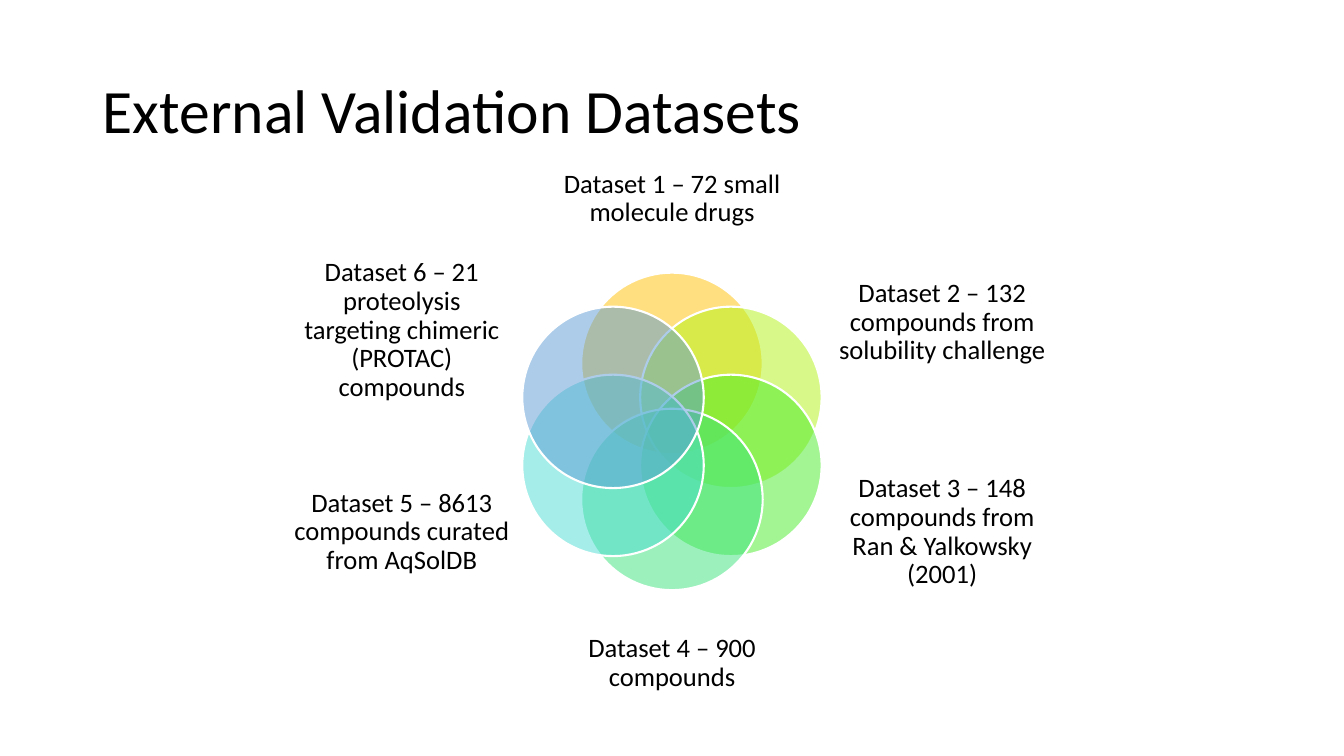
from math import cos, radians, sin

from lxml import etree
from pptx import Presentation
from pptx.dml.color import RGBColor
from pptx.enum import shapes, text
from pptx.oxml.ns import qn
from pptx.util import Inches, Pt

FONT = "Calibri"
PETAL_SIZE = 1.8
PETAL_ORBIT = 0.675

# label, petal colour, label box (left, top, width, height) within the diagram
DATASETS = [
    ("Dataset 1 – 72 small molecule drugs", "FFC000", (2.62, 0, 2.25, 1.23)),
    ("Dataset 2 – 132 compounds from solubility challenge", "B2F514", (5.36, 1.17, 2.13, 1.34)),
    ("Dataset 3 – 148 compounds from Ran & Yalkowsky (2001)", "46EC27", (5.36, 3.17, 2.13, 1.5)),
    ("Dataset 4 – 900 compounds", "39E37B", (2.62, 4.61, 2.25, 1.23)),
    ("Dataset 5 – 8613 compounds curated from AqSolDB", "4ADCD2", (0, 3.17, 2.13, 1.5)),
    ("Dataset 6 – 21 proteolysis targeting chimeric (PROTAC) compounds", "5B9BD5",
     (0, 1.17, 2.13, 1.5)),
]


def color(hex_code):
    return RGBColor.from_string(hex_code)


def write(frame, wording, size, align):
    frame.word_wrap = True
    frame.auto_size = text.MSO_AUTO_SIZE.NONE
    frame.vertical_anchor = text.MSO_ANCHOR.MIDDLE
    paragraph = frame.paragraphs[0]
    paragraph.alignment = align
    paragraph.line_spacing = 0.9
    run = paragraph.add_run()
    run.text = wording
    run.font.name = FONT
    run.font.size = Pt(size)
    run.font.color.rgb = color("000000")


def add_title(slide, left, top, width, height):
    title = slide.shapes.title
    title.left, title.top = Inches(left), Inches(top)
    title.width, title.height = Inches(width), Inches(height)
    write(title.text_frame, "External Validation Datasets", 44, text.PP_ALIGN.LEFT)


def add_petal(slide, center_x, center_y, fill):
    """Draw a half-transparent circle around the given centre."""
    petal = slide.shapes.add_shape(
        shapes.MSO_SHAPE.OVAL,
        Inches(center_x - PETAL_SIZE / 2), Inches(center_y - PETAL_SIZE / 2),
        Inches(PETAL_SIZE), Inches(PETAL_SIZE))
    petal.shadow.inherit = False
    petal.fill.solid()
    petal.fill.fore_color.rgb = color(fill)
    fill_color = petal.element.spPr.find(qn("a:solidFill"))[0]
    etree.SubElement(fill_color, qn("a:alpha")).set("val", "50000")
    petal.line.color.rgb = color("FFFFFF")
    petal.line.width = Pt(1.5)


def add_label(slide, left, top, width, height, wording):
    label = slide.shapes.add_textbox(Inches(left), Inches(top), Inches(width), Inches(height))
    frame = label.text_frame
    frame.margin_left = frame.margin_right = frame.margin_top = frame.margin_bottom = 0
    write(frame, wording, 19, text.PP_ALIGN.CENTER)


def add_venn(slide, left, top, width, height):
    """Place the petals clockwise from the top, each with its label."""
    center_x, center_y = left + width / 2, top + height / 2
    for index, (wording, fill, (x, y, label_width, label_height)) in enumerate(DATASETS):
        angle = radians(index * 360 / len(DATASETS))
        add_petal(slide, center_x + PETAL_ORBIT * sin(angle),
                  center_y - PETAL_ORBIT * cos(angle), fill)
        add_label(slide, left + x, top + y, label_width, label_height, wording)


def main():
    deck = Presentation()
    deck.slide_width, deck.slide_height = Inches(13.33), Inches(7.5)
    slide = deck.slides.add_slide(deck.slide_layouts[5])
    add_title(slide, 0.92, 0.4, 11.5, 1.45)
    add_venn(slide, 2.92, 1.36, 7.49, 5.84)
    deck.save("out.pptx")


if __name__ == "__main__":
    main()
